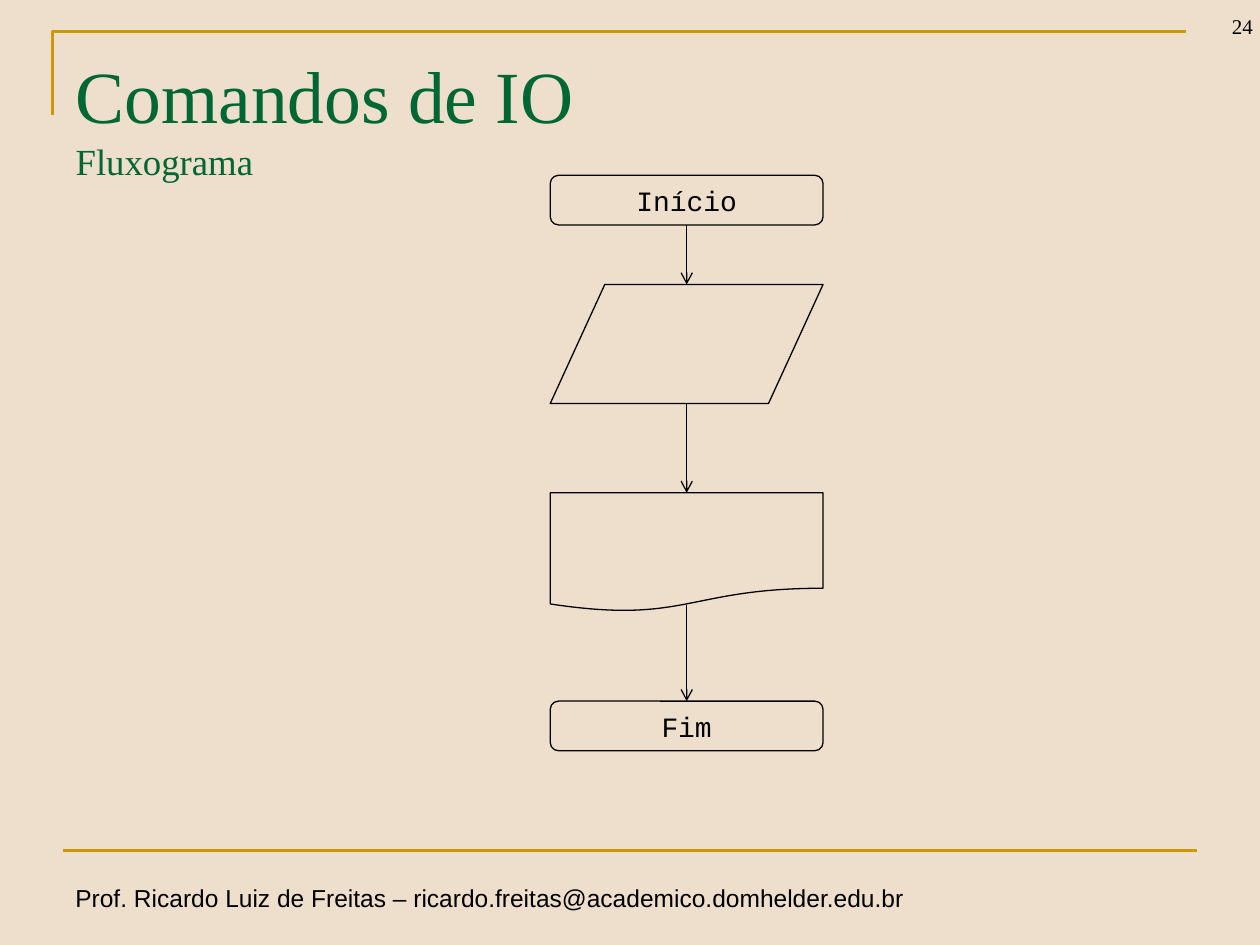
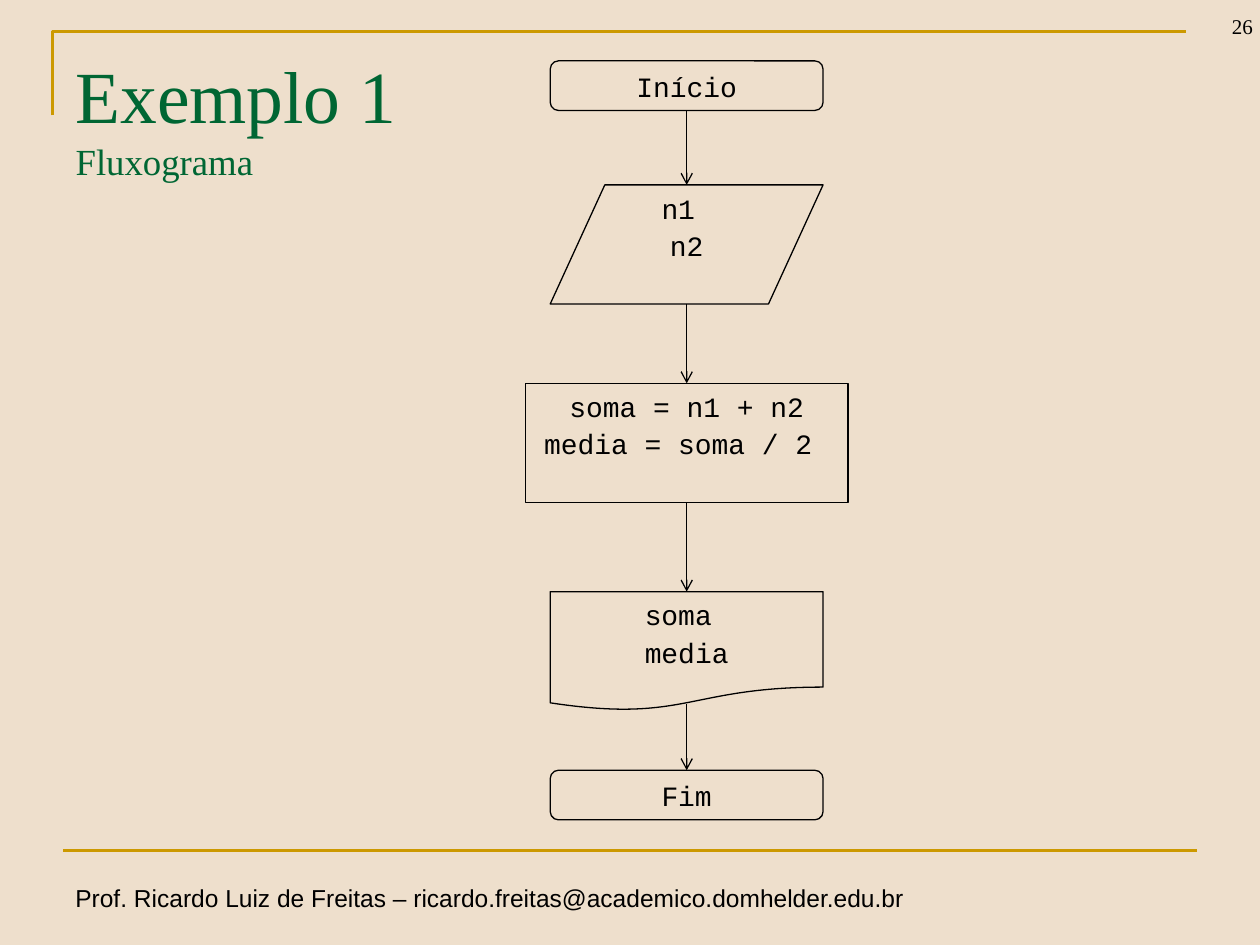
from lxml import etree
from pptx import Presentation
from pptx.dml.color import RGBColor
from pptx.enum.shapes import MSO_CONNECTOR, MSO_SHAPE
from pptx.enum.text import MSO_ANCHOR, PP_ALIGN
from pptx.oxml.ns import qn
from pptx.util import Cm, Inches, Pt

STRAIGHT = MSO_CONNECTOR.STRAIGHT
TERMINAL = MSO_SHAPE.FLOWCHART_ALTERNATE_PROCESS
INPUT = MSO_SHAPE.FLOWCHART_DATA
PROCESS = MSO_SHAPE.FLOWCHART_PROCESS
DOCUMENT = MSO_SHAPE.FLOWCHART_DOCUMENT
TOP, MIDDLE, BOTTOM = MSO_ANCHOR.TOP, MSO_ANCHOR.MIDDLE, MSO_ANCHOR.BOTTOM
LEFT, CENTER, RIGHT = PP_ALIGN.LEFT, PP_ALIGN.CENTER, PP_ALIGN.RIGHT

COLORS = {"paper": "EEDFCC", "gold": "CC9900", "green": "006633", "ink": "000000"}
TITLE = {"name": "Times New Roman", "size": Pt(42)}
SUBTITLE = {"name": "Times New Roman", "size": Pt(21)}
NUMBER = {"name": "Times New Roman", "size": Pt(12)}
FOOTER = {"name": "Arial", "size": Pt(14)}
CODE = {"name": "Courier New", "size": Pt(16)}

SLIDE_WIDTH, SLIDE_HEIGHT = Inches(10), Inches(7.5)
CELL = SLIDE_WIDTH / 120
STEP = Cm(0.2)
FOOTER_TEXT = "Prof. Ricardo Luiz de Freitas – ricardo.freitas@academico.domhelder.edu.br"

BLOCK_STEPS = {
    TERMINAL: (27.5, 5),
    INPUT: (27.5, 12),
    PROCESS: (32.5, 12),
    DOCUMENT: (27.5, 12),
}
EXIT_SHARE = {DOCUMENT: 0.94}


def grid(*cells):
    return [round(cell * CELL) for cell in cells]


def color(name):
    return RGBColor.from_string(COLORS[name])


def set_values(target, values):
    for name, value in values.items():
        setattr(target, name, value)


def add_span(para, text, style, ink="ink"):
    span = para.add_run()
    span.text = text
    set_values(span.font, style)
    span.font.color.rgb = color(ink)


def set_line(shape, name, width):
    shape.line.color.rgb = color(name)
    shape.line.width = Pt(width)


def add_rule(page, start, end, name="ink", width=0.75, arrow=False):
    rule = page.shapes.add_connector(STRAIGHT, *start, *end)
    set_line(rule, name, width)
    if arrow:
        etree.SubElement(rule.line._get_or_add_ln(), qn("a:tailEnd"), type="arrow")
    etree.SubElement(rule._element.spPr, qn("a:effectLst"))


def add_label(page, box, text, style, **frame_values):
    frame = page.shapes.add_textbox(*box).text_frame
    para = frame.paragraphs[0]
    para.alignment = frame_values.pop("alignment", LEFT)
    set_values(frame, frame_values)
    add_span(para, text, style)


def add_frame(page, number):
    builder = page.shapes.build_freeform(*grid(5, 11))
    builder.add_line_segments([grid(5, 3), grid(113, 3)], close=False)
    corner = builder.convert_to_shape()
    corner.shadow.inherit = False
    corner.fill.background()
    set_line(corner, "gold", 1.5)
    add_rule(page, grid(6, 81), grid(114, 81), "gold", 1.5)
    add_label(page, grid(6, 83.5, 82.3, 4), FOOTER_TEXT, FOOTER, word_wrap=False)
    add_label(page, grid(111.5, -1.7, 9, 6), number, NUMBER, word_wrap=True,
              vertical_anchor=BOTTOM, alignment=RIGHT)


def add_title(page, heading, subtitle, box):
    title = page.shapes.title
    set_values(title, dict(zip(("left", "top", "width", "height"), box)))
    title.text_frame.vertical_anchor = MIDDLE
    para = title.text_frame.paragraphs[0]
    para.alignment = LEFT
    add_span(para, heading, TITLE, "green")
    para.add_line_break()
    add_span(para, subtitle, SUBTITLE, "green")


def add_block(page, kind, box, lines):
    block = page.shapes.add_shape(kind, *box)
    block.shadow.inherit = False
    block.fill.background()
    set_line(block, "ink", 0.75)
    frame = block.text_frame
    set_values(frame, {"word_wrap": True, "vertical_anchor": TOP,
                       "margin_top": Inches(0.08)})
    for index, line in enumerate(lines):
        para = frame.add_paragraph() if index else frame.paragraphs[0]
        set_values(para, {"alignment": CENTER, "line_spacing": 0.9,
                          "space_before": Pt(4 if index else 0)})
        add_span(para, line, CODE)


def add_flowchart(page, center, top, blocks):
    exit_point = None
    for gap, kind, lines in blocks:
        width, height = (round(steps * STEP) for steps in BLOCK_STEPS[kind])
        top += round(gap * STEP)
        add_block(page, kind, (center - width // 2, top, width, height), lines)
        if exit_point:
            add_rule(page, exit_point, (center, top), arrow=True)
        exit_point = (center, top + round(height * EXIT_SHARE.get(kind, 1)))
        top += height


def add_flowchart_page(deck, number, heading, top, blocks):
    page = deck.slides.add_slide(deck.slide_layouts[5])
    add_frame(page, number)
    add_title(page, heading, "Fluxograma", grid(6, 3.6, 108, 15))
    add_flowchart(page, *grid(65.4, top), blocks)


def main():
    deck = Presentation()
    deck.slide_width, deck.slide_height = SLIDE_WIDTH, SLIDE_HEIGHT
    background = deck.slide_master.background.fill
    background.solid()
    background.fore_color.rgb = color("paper")
    add_flowchart_page(deck, "24", "Comandos de IO", 16.7, [
        (0, TERMINAL, ["Início"]),
        (6, INPUT, []),
        (9, DOCUMENT, []),
        (9, TERMINAL, ["Fim"]),
    ])
    add_flowchart_page(deck, "26", "Exemplo 1 ", 5.8, [
        (0, TERMINAL, ["Início"]),
        (7.5, INPUT, ["n1 ", "n2"]),
        (8, PROCESS, ["soma = n1 + n2", "media = soma / 2 "]),
        (9, DOCUMENT, ["soma ", "media"]),
        (6, TERMINAL, ["Fim"]),
    ])
    deck.save("out.pptx")


if __name__ == "__main__":
    main()
